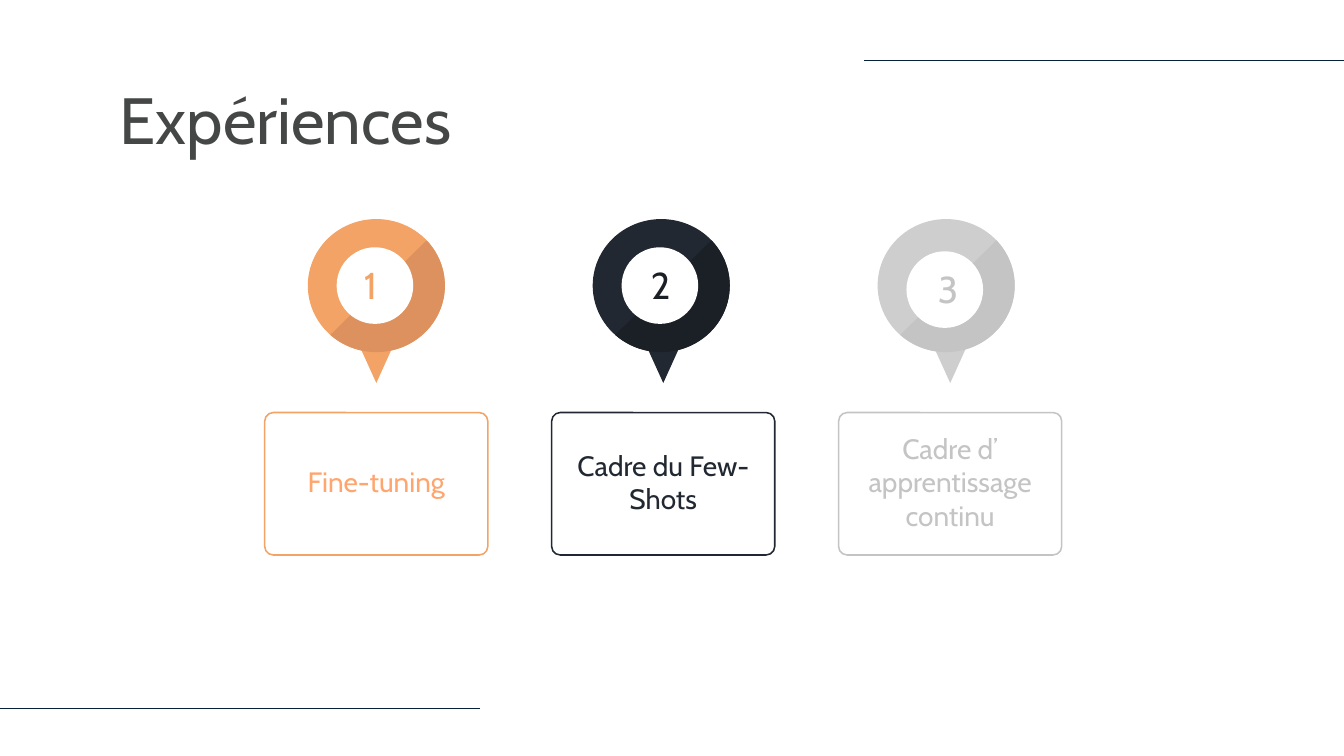
from lxml.etree import SubElement
from pptx import Presentation
from pptx.dml.color import RGBColor
from pptx.enum.shapes import MSO_CONNECTOR, MSO_SHAPE as Shape
from pptx.enum.text import MSO_ANCHOR as Anchor, MSO_AUTO_SIZE as AutoSize, PP_ALIGN as Align
from pptx.oxml.ns import qn
from pptx.util import Inches, Pt

WHITE = RGBColor(0xFF, 0xFF, 0xFF)
GREY_TEXT = RGBColor(0x44, 0x47, 0x46)
NAVY = RGBColor(0x06, 0x22, 0x3B)
ORANGE = RGBColor(0xF2, 0xA3, 0x65)
ORANGE_DARK = RGBColor(0xDD, 0x91, 0x5E)
ORANGE_TEXT = RGBColor(0xFF, 0xA6, 0x6F)
SLATE = RGBColor(0x22, 0x28, 0x31)
SLATE_DARK = RGBColor(0x1B, 0x1F, 0x26)
SILVER = RGBColor(0xCE, 0xCE, 0xCE)
SILVER_DARK = RGBColor(0xC4, 0xC4, 0xC4)

# Grid in inches on a 16:9 page: three equal columns, the pins slightly closer
WIDTH = 10
HEIGHT = WIDTH * 9 / 16
FIRST_CENTRE = 2.8
CARD_PITCH, PIN_PITCH = 4.27 / 2, 2.12
CARD_WIDTH, CARD_HEIGHT, CARD_TOP = 1.66, 1.06, 3.07
PIN_WIDTH, PIN_HEIGHT, PIN_TOP = 1.02, 0.99, 1.63
TIP_WIDTH, TIP_HEIGHT, TIP_TOP = 0.29, 0.32, 2.53
HOLE = 0.57

# Number, lines of the label, pin, shade, card line, digit, label, drop of the hole
STEPS = [
    ("1", ["Fine-tuning"], ORANGE, ORANGE_DARK, ORANGE, ORANGE, ORANGE_TEXT, 0),
    ("2", ["Cadre du Few-Shots"], SLATE, SLATE_DARK, SLATE, SLATE_DARK, SLATE, 0),
    ("3", ["Cadre d’", "apprentissage continu"], SILVER, SILVER_DARK,
     SILVER_DARK, SILVER_DARK, SILVER_DARK, 0.03),
]


def add_filled(shapes, kind, left, top, width, height, color):
    shape = shapes.add_shape(kind, Inches(left), Inches(top), Inches(width), Inches(height))
    shape.shadow.inherit = False
    shape.fill.solid()
    shape.fill.fore_color.rgb = color
    shape.line.fill.background()
    return shape


def write(box, lines, size, color, align, anchor, auto_size=AutoSize.NONE):
    frame = box.text_frame
    frame.word_wrap = True
    frame.auto_size = auto_size
    frame.vertical_anchor = anchor
    frame.margin_left = frame.margin_right = Inches(0.1)
    frame.margin_top = frame.margin_bottom = Inches(0.1)
    for index, line in enumerate(lines):
        para = frame.add_paragraph() if index else frame.paragraphs[0]
        para.alignment = align
        span = para.add_run()
        span.text = line
        span.font.name = "Cabin"
        span.font.size = Pt(size)
        span.font.color.rgb = color


deck = Presentation()
deck.slide_width, deck.slide_height = Inches(WIDTH), Inches(HEIGHT)
page = deck.slides.add_slide(deck.slide_layouts[5])
page.background.fill.solid()
page.background.fill.fore_color.rgb = WHITE

# Rules in opposite corners
for start, end, y in [(0, 3.57, 5.27), (6.43, WIDTH, 0.45)]:
    rule = page.shapes.add_connector(
        MSO_CONNECTOR.STRAIGHT, Inches(start), Inches(y), Inches(end), Inches(y))
    rule.line.color.rgb = NAVY
    rule.line.width = Pt(0.75)
    SubElement(rule.element.spPr, qn("a:effectLst"))

# Title
title = page.shapes.title
title.left, title.top = Inches(0.79), Inches(0.49)
title.width, title.height = Inches(8.43), Inches(0.63)
write(title, ["Expériences"], 35, GREY_TEXT, Align.LEFT, Anchor.TOP)

for column, (number, label, pin, shade, edge, digit, ink, drop) in enumerate(STEPS):
    card_centre = FIRST_CENTRE + column * CARD_PITCH
    pin_centre = FIRST_CENTRE + column * PIN_PITCH
    card_left = card_centre - CARD_WIDTH / 2

    # Card outline and its label
    card = add_filled(page.shapes, Shape.ROUNDED_RECTANGLE,
                      card_left, CARD_TOP, CARD_WIDTH, CARD_HEIGHT, WHITE)
    card.adjustments[0] = 0.06
    card.fill.background()
    card.line.color.rgb = edge
    card.line.width = Pt(0.81)
    box = page.shapes.add_textbox(
        Inches(card_left), Inches(3.32), Inches(CARD_WIDTH), Inches(0.53))
    write(box, label, 15, ink, Align.CENTER, Anchor.MIDDLE)

    # Pin: tip, disc, shaded lower half, hole
    parts = page.shapes.add_group_shape().shapes
    disc = (pin_centre - PIN_WIDTH / 2, PIN_TOP, PIN_WIDTH, PIN_HEIGHT)
    tip = add_filled(parts, Shape.ISOSCELES_TRIANGLE, card_centre - TIP_WIDTH / 2, TIP_TOP,
                     TIP_WIDTH, TIP_HEIGHT, pin)
    tip.rotation = 180
    add_filled(parts, Shape.OVAL, *disc, pin)
    half = add_filled(parts, Shape.CHORD, *disc, shade)
    half.adjustments[0] = 318 * 0.6  # degrees in units of 60000 / 100000
    half.adjustments[1] = 133 * 0.6
    add_filled(parts, Shape.OVAL, pin_centre - 0.01 - HOLE / 2, 1.84 + drop, HOLE, HOLE, WHITE)

    # Step number
    box = page.shapes.add_textbox(
        Inches(card_centre - 0.19), Inches(1.85 + drop), Inches(0.33), Inches(0.54))
    write(box, [number], 20, digit, Align.LEFT, Anchor.TOP, AutoSize.SHAPE_TO_FIT_TEXT)

deck.save("out.pptx")
